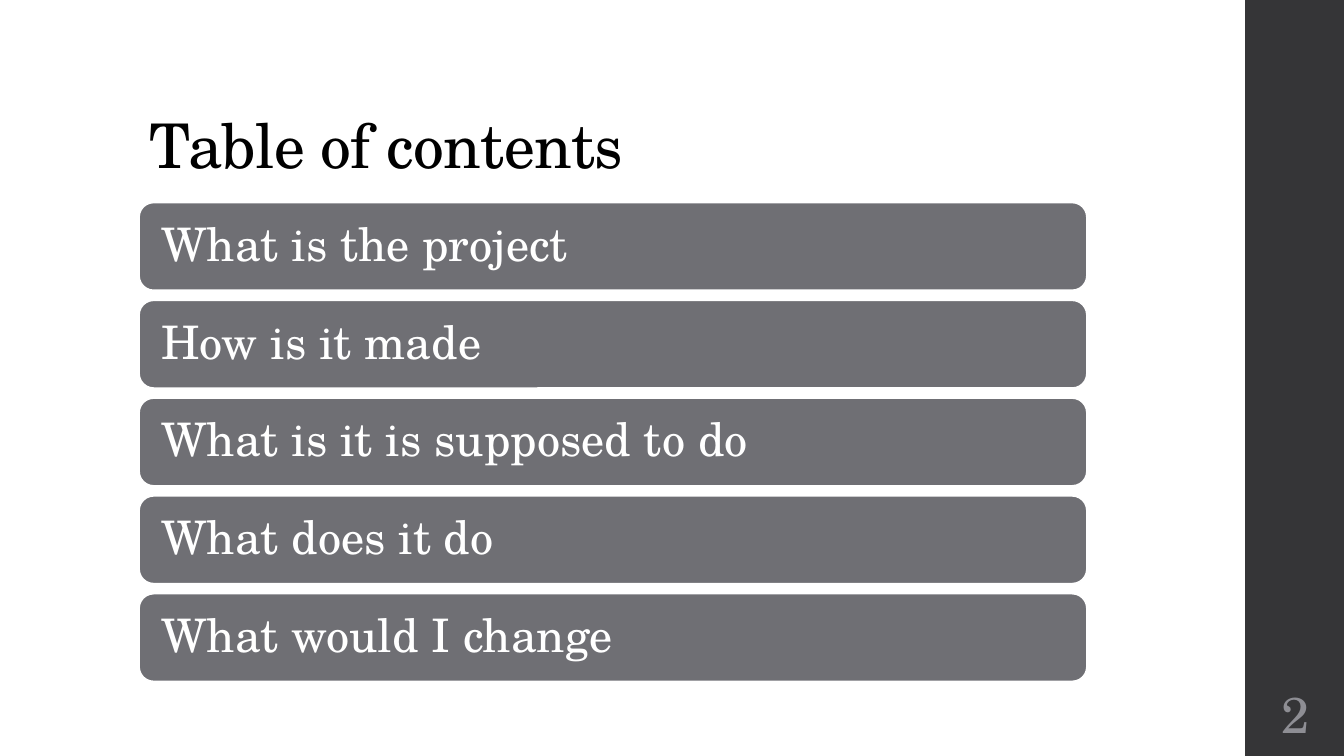
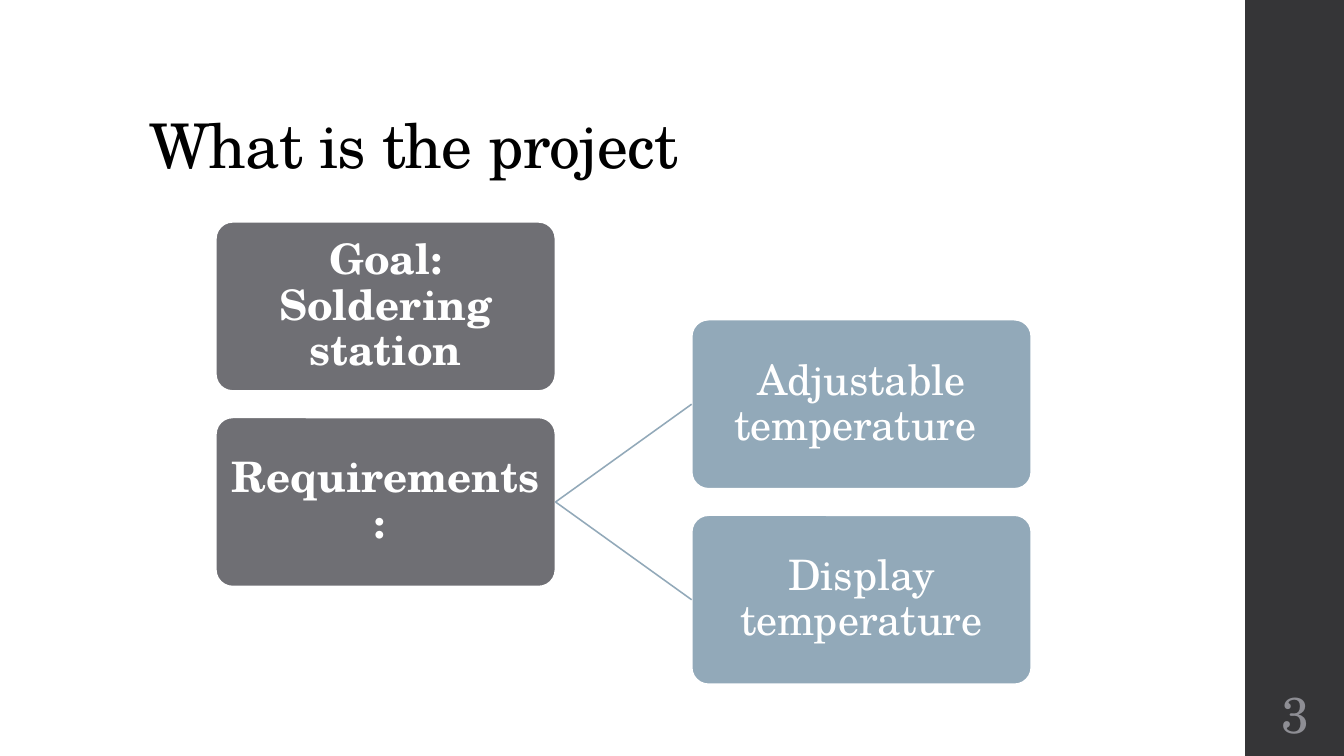
from lxml.etree import SubElement
from pptx import Presentation
from pptx.dml.color import RGBColor
from pptx.enum.shapes import MSO_CONNECTOR, MSO_SHAPE
from pptx.enum.text import MSO_ANCHOR, PP_ALIGN
from pptx.oxml.ns import qn
from pptx.util import Inches, Pt

CONTENTS_TITLE = "Table of contents"
CONTENTS = [
    "What is the project",
    "How is it made",
    "What is it is supposed to do",
    "What does it do",
    "What would I change",
]
PROJECT_TITLE = "What is the project"
GOAL = "Goal: Soldering station"
REQUIREMENTS_LABEL = "Requirements: "
REQUIREMENTS = ["Adjustable temperature ", "Display temperature"]

FONT = "TeX Gyre Schola"
COLORS = {
    "band": "353537",
    "title": "000000",
    "main": "6F6F74",
    "detail": "92A9B9",
    "light": "FFFFFF",
    "number": "8E8E94",
}

SLIDE_WIDTH, SLIDE_HEIGHT = 13.33, 7.5
BAND_LEFT, BAND_WIDTH = 12.35, 1
MARGIN = 1.38
BAR_TOP, BAR_PITCH, BAR_WIDTH, BAR_HEIGHT = 2.01, 0.97, 9.4, 0.87
NODE_TOP, NODE_PITCH, NODE_WIDTH, NODE_HEIGHT = 2.2, 1.94, 3.37, 1.68
MAIN_LEFT, DETAIL_LEFT = 2.14, 6.86
LEFT_SITE, RIGHT_SITE = 1, 3


def color(name):
    return RGBColor.from_string(COLORS[name])


def write(shape, text, size, ink, anchor=MSO_ANCHOR.MIDDLE, align=PP_ALIGN.LEFT,
          inset=None, bold=False, spacing=0.9):
    frame = shape.text_frame
    frame.word_wrap = True
    frame.vertical_anchor = anchor
    if inset is not None:
        frame.margin_left = frame.margin_right = Inches(inset)
        frame.margin_top = frame.margin_bottom = Inches(inset)
    para = frame.paragraphs[0]
    para.alignment = align
    para.line_spacing = spacing
    para.font.name = FONT
    para.font.size = Pt(size)
    para.font.bold = bold
    para.font.color.rgb = color(ink)
    span = para.add_run()
    span.text = text
    return span


def add_box(page, kind, left, top, width, height, fill, line_width=None):
    box = page.shapes.add_shape(kind, Inches(left), Inches(top), Inches(width), Inches(height))
    box.shadow.inherit = False
    box.fill.solid()
    box.fill.fore_color.rgb = color(fill)
    if line_width:
        box.line.color.rgb = color("light")
        box.line.width = Pt(line_width)
    else:
        box.line.fill.background()
    return box


def add_page(deck, title, number):
    page = deck.slides.add_slide(deck.slide_layouts[6])
    add_box(page, MSO_SHAPE.RECTANGLE, BAND_LEFT, 0, BAND_WIDTH, SLIDE_HEIGHT, "band")
    heading = page.shapes.add_textbox(Inches(MARGIN), Inches(0.4), Inches(10.6), Inches(1.45))
    span = write(heading, title, 44, "title", anchor=MSO_ANCHOR.BOTTOM)
    span.font._element.set("spc", "-50")
    footer = page.shapes.add_textbox(Inches(BAND_LEFT), Inches(6.75), Inches(BAND_WIDTH), Inches(0.65))
    write(footer, str(number), 36, "number", align=PP_ALIGN.CENTER, inset=0.05, spacing=1.0)
    return page


def add_node(page, text, left, row, fill, bold=False):
    node = add_box(page, MSO_SHAPE.ROUNDED_RECTANGLE, left, NODE_TOP + row * NODE_PITCH,
                   NODE_WIDTH, NODE_HEIGHT, fill, 1.35)
    node.adjustments[0] = 0.1
    write(node, text, 30, "light", align=PP_ALIGN.CENTER, inset=0.07, bold=bold)
    return node


def link(page, source, target):
    line = page.shapes.add_connector(MSO_CONNECTOR.STRAIGHT, 0, 0, 0, 0)
    line.begin_connect(source, RIGHT_SITE)
    line.end_connect(target, LEFT_SITE)
    line.line.color.rgb = color("detail")
    line.line.width = Pt(1.1)
    SubElement(line._element.spPr, qn("a:effectLst"))


deck = Presentation()
deck.slide_width = Inches(SLIDE_WIDTH)
deck.slide_height = Inches(SLIDE_HEIGHT)

contents_page = add_page(deck, CONTENTS_TITLE, 2)
for index, entry in enumerate(CONTENTS):
    bar = add_box(contents_page, MSO_SHAPE.ROUNDED_RECTANGLE, MARGIN,
                  BAR_TOP + index * BAR_PITCH, BAR_WIDTH, BAR_HEIGHT, "main", 1.1)
    write(bar, entry, 33, "light", inset=0.18)

project_page = add_page(deck, PROJECT_TITLE, 3)
add_node(project_page, GOAL, MAIN_LEFT, 0, "main", bold=True)
requirements_node = add_node(project_page, REQUIREMENTS_LABEL, MAIN_LEFT, 1, "main", bold=True)
for index, requirement in enumerate(REQUIREMENTS):
    detail_node = add_node(project_page, requirement, DETAIL_LEFT, index + 0.5, "detail")
    link(project_page, requirements_node, detail_node)

deck.save("out.pptx")
